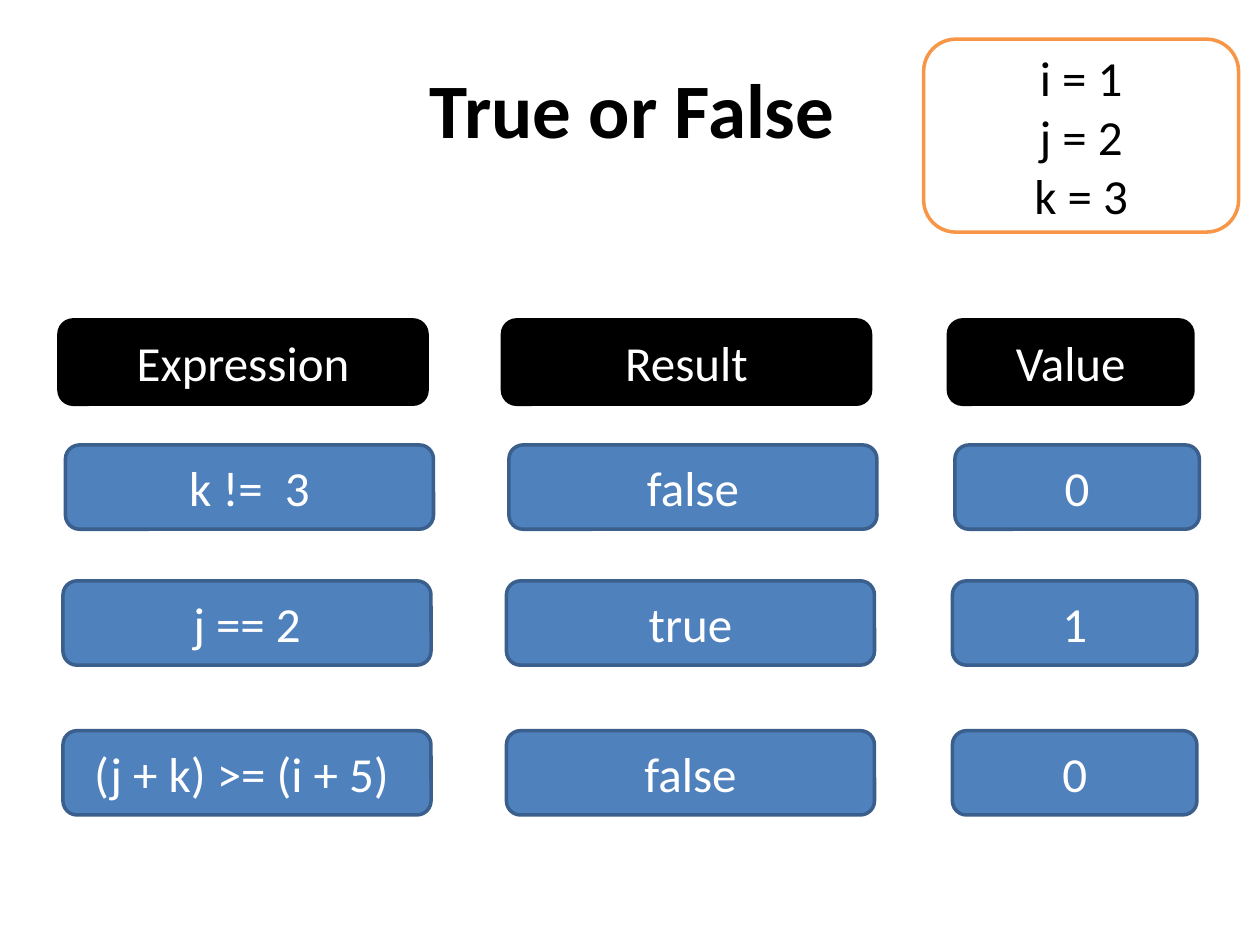
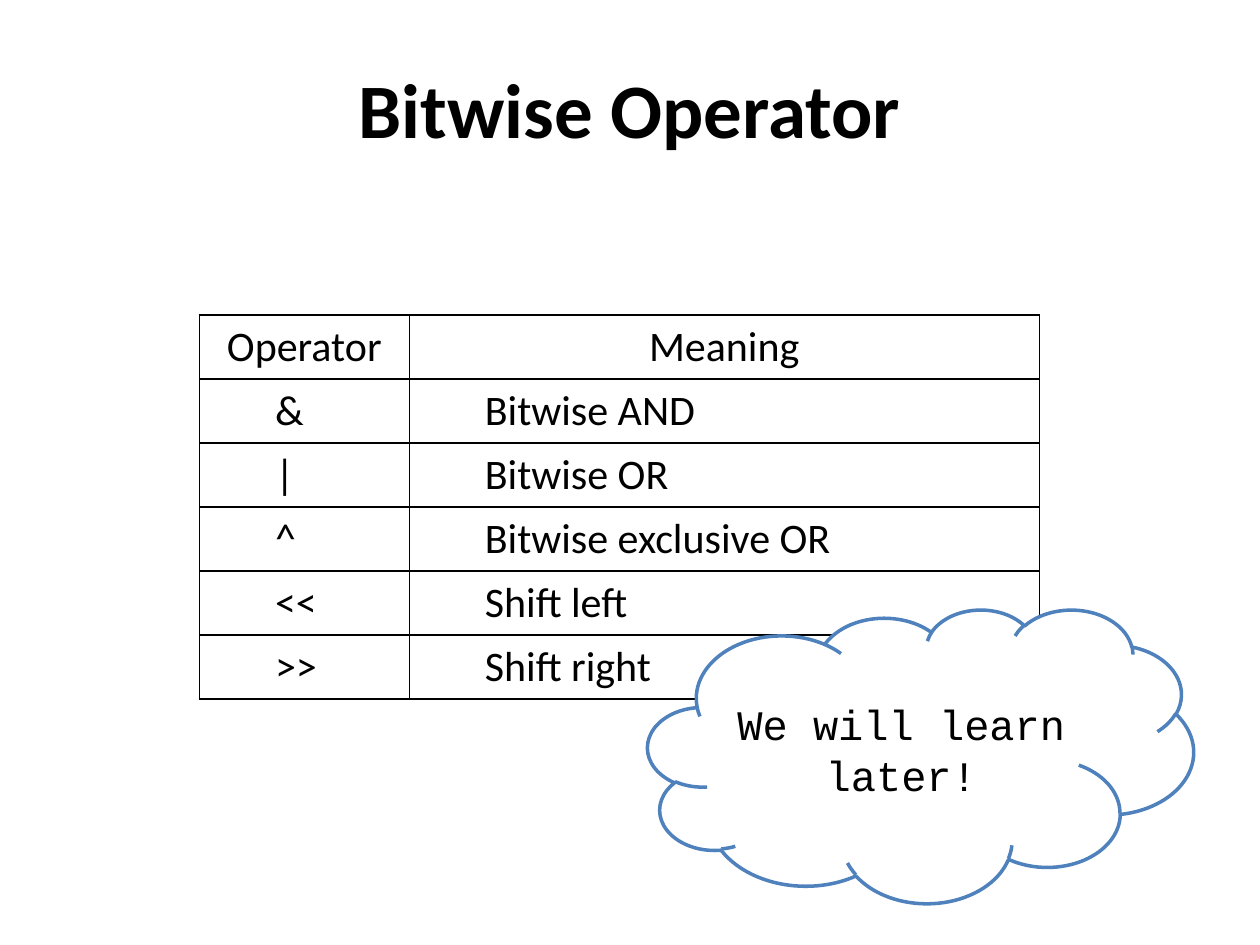
from dataclasses import dataclass

from lxml import etree
from pptx import Presentation
from pptx.dml.color import RGBColor
from pptx.enum.shapes import MSO_SHAPE
from pptx.enum.text import MSO_ANCHOR, PP_ALIGN
from pptx.oxml.ns import qn
from pptx.util import Cm, Pt

ROUNDED, CLOUD = MSO_SHAPE.ROUNDED_RECTANGLE, MSO_SHAPE.CLOUD
MIDDLE = MSO_ANCHOR.MIDDLE
CENTER, LEFT = PP_ALIGN.CENTER, PP_ALIGN.LEFT


@dataclass(frozen=True)
class Theme:
    black: str = "000000"
    white: str = "FFFFFF"
    blue: str = "4F81BD"
    dark_blue: str = "3A5F8C"
    orange: str = "F79646"
    body_font: str = "Calibri"
    code_font: str = "Courier New"
    title_size: int = 44
    box_size: int = 28
    table_size: int = 24
    line_width: int = 2
    border_width: int = 1


THEME = Theme()


# Text
def write(tf, lines, size, color=THEME.black, font=THEME.body_font,
          bold=False, align=CENTER):
    """Fill a text frame with one paragraph per line."""
    font_format = {"name": font, "size": Pt(size), "bold": bold}
    for i, line in enumerate(lines):
        p = tf.add_paragraph() if i else tf.paragraphs[0]
        p.alignment = align
        r = p.add_run()
        r.text = line
        for name, value in font_format.items():
            setattr(r.font, name, value)
        r.font.color.rgb = RGBColor.from_string(color)


def add_title(s, text, left):
    tf = s.shapes.add_textbox(Cm(left), Cm(0.76), Cm(22.86), Cm(2.84)).text_frame
    for name, value in {"word_wrap": True, "vertical_anchor": MIDDLE}.items():
        setattr(tf, name, value)
    write(tf, [text], THEME.title_size, bold=True)


# Filled and outlined shapes
def add_box(s, kind, place, lines, fill, line, size=THEME.box_size, **text_format):
    sp = s.shapes.add_shape(kind, *map(Cm, place))
    sp.shadow.inherit = False
    sp.fill.solid()
    sp.fill.fore_color.rgb = RGBColor.from_string(fill)
    sp.line.color.rgb = RGBColor.from_string(line)
    sp.line.width = Pt(THEME.line_width)
    sp.text_frame.word_wrap = True
    sp.text_frame.vertical_anchor = MIDDLE
    write(sp.text_frame, lines, size, **text_format)


def add_box_row(s, left, top, texts, fill, line):
    """Place one box per column, shifted together by the row's left edge."""
    columns = [(0, 7.42), (8.94, 7.42), (17.93, 4.93)]
    for text, (offset, width) in zip(texts, columns):
        add_box(s, ROUNDED, (left + offset, top, width, 1.7), [text],
                fill, line, color=THEME.white)


# Table
def add_borders(cell):
    tc_pr = cell._tc.get_or_add_tcPr()
    for i, side in enumerate(("lnL", "lnR", "lnT", "lnB")):
        ln = etree.Element(qn(f"a:{side}"), w=str(Pt(THEME.border_width)))
        fill = etree.SubElement(ln, qn("a:solidFill"))
        etree.SubElement(fill, qn("a:srgbClr"), val=THEME.black)
        tc_pr.insert(i, ln)


def add_grid(s, left, top, widths, row_height, rows):
    frame = s.shapes.add_table(len(rows), len(widths), Cm(left), Cm(top),
                               Cm(sum(widths)), Cm(row_height * len(rows)))
    table = frame.table
    table.first_row = table.horz_banding = False
    for column, width in zip(table.columns, widths):
        column.width = Cm(width)
    for r, texts in enumerate(rows):
        table.rows[r].height = Cm(row_height)
        for c, text in enumerate(texts):
            cell = table.cell(r, c)
            cell.fill.solid()
            cell.fill.fore_color.rgb = RGBColor.from_string(THEME.white)
            add_borders(cell)
            write(cell.text_frame, [text], THEME.table_size,
                  align=LEFT if r else CENTER)
            if r:
                p = cell.text_frame.paragraphs[0]
                p.level = 1
                p_pr = p._p.get_or_add_pPr()
                p_pr.set("marL", str(Cm(1.27)))
                p_pr.set("indent", "0")


# Slides
def build_true_or_false(s):
    add_title(s, "True or False", 1.32)
    add_box_row(s, 1.19, 6.45, ("Expression", "Result", "Value"),
                THEME.black, THEME.black)
    answers = [
        (1.32, 8.97, ("k !=  3", "false", "0")),
        (1.27, 11.71, ("j == 2", "true", "1")),
        (1.27, 14.73, ("(j + k) >= (i + 5) ", "false", "0")),
    ]
    for left, top, texts in answers:
        add_box_row(s, left, top, texts, THEME.blue, THEME.dark_blue)
    add_box(s, ROUNDED, (18.62, 0.79, 6.35, 3.89), ["i = 1", "j = 2", "k = 3"],
            THEME.white, THEME.orange)


def build_bitwise_operator(s):
    add_title(s, "Bitwise Operator", 1.27)
    operators = [
        ("Operator", "Meaning"),
        ("&", "Bitwise AND"),
        ("|", "Bitwise OR"),
        ("^", "Bitwise exclusive OR"),
        ("<<", "Shift left"),
        (">>", "Shift right"),
    ]
    add_grid(s, 4.02, 6.35, (4.23, 12.7), 1.29, operators)
    add_box(s, CLOUD, (13.06, 12.28, 11, 5.92), ["We will learn later!"],
            THEME.white, THEME.blue, THEME.table_size, font=THEME.code_font)


def main():
    prs = Presentation()
    prs.slide_width, prs.slide_height = Cm(25.4), Cm(19.05)
    blank = prs.slide_layouts[6]
    for build in (build_true_or_false, build_bitwise_operator):
        build(prs.slides.add_slide(blank))
    prs.save("out.pptx")


if __name__ == "__main__":
    main()
